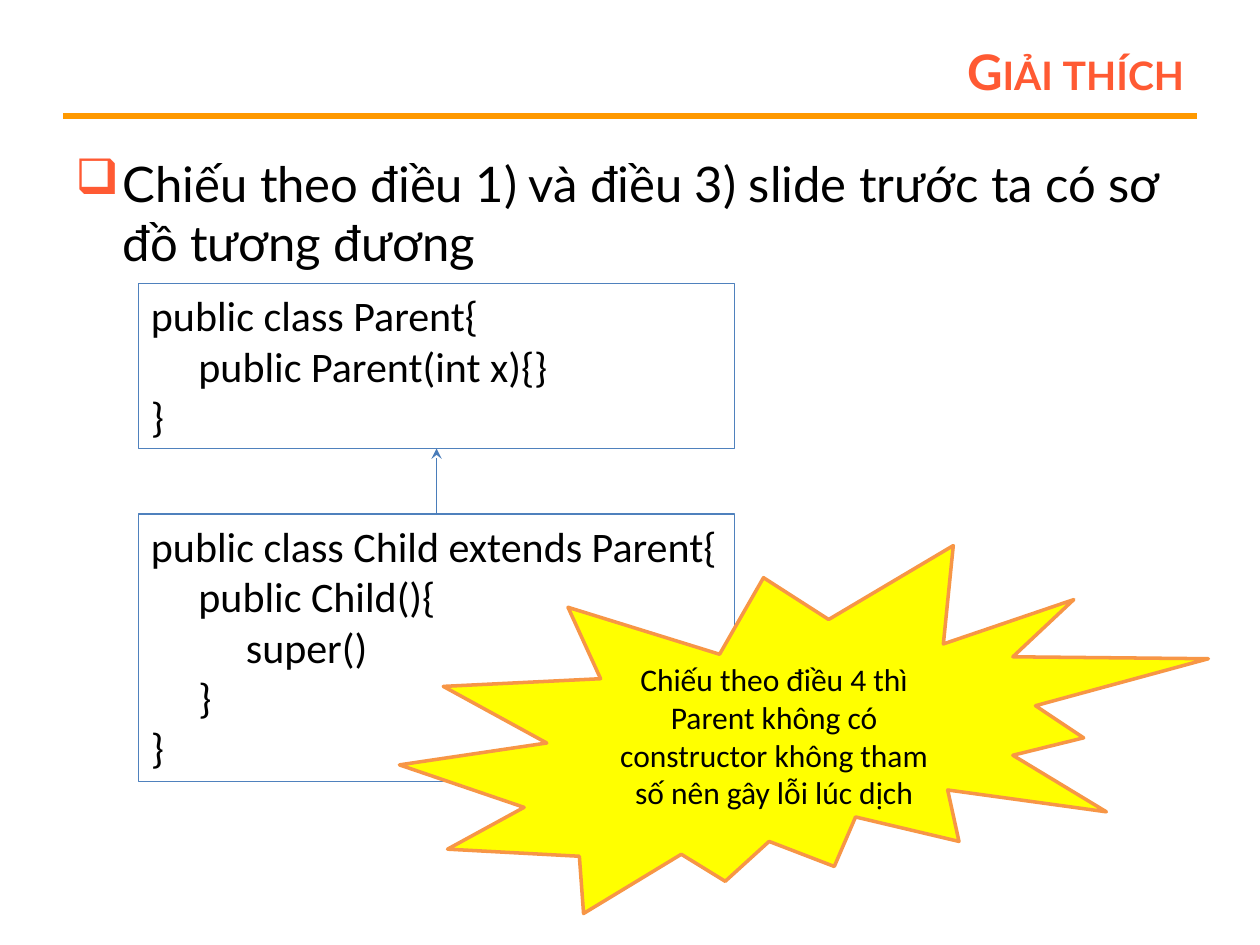
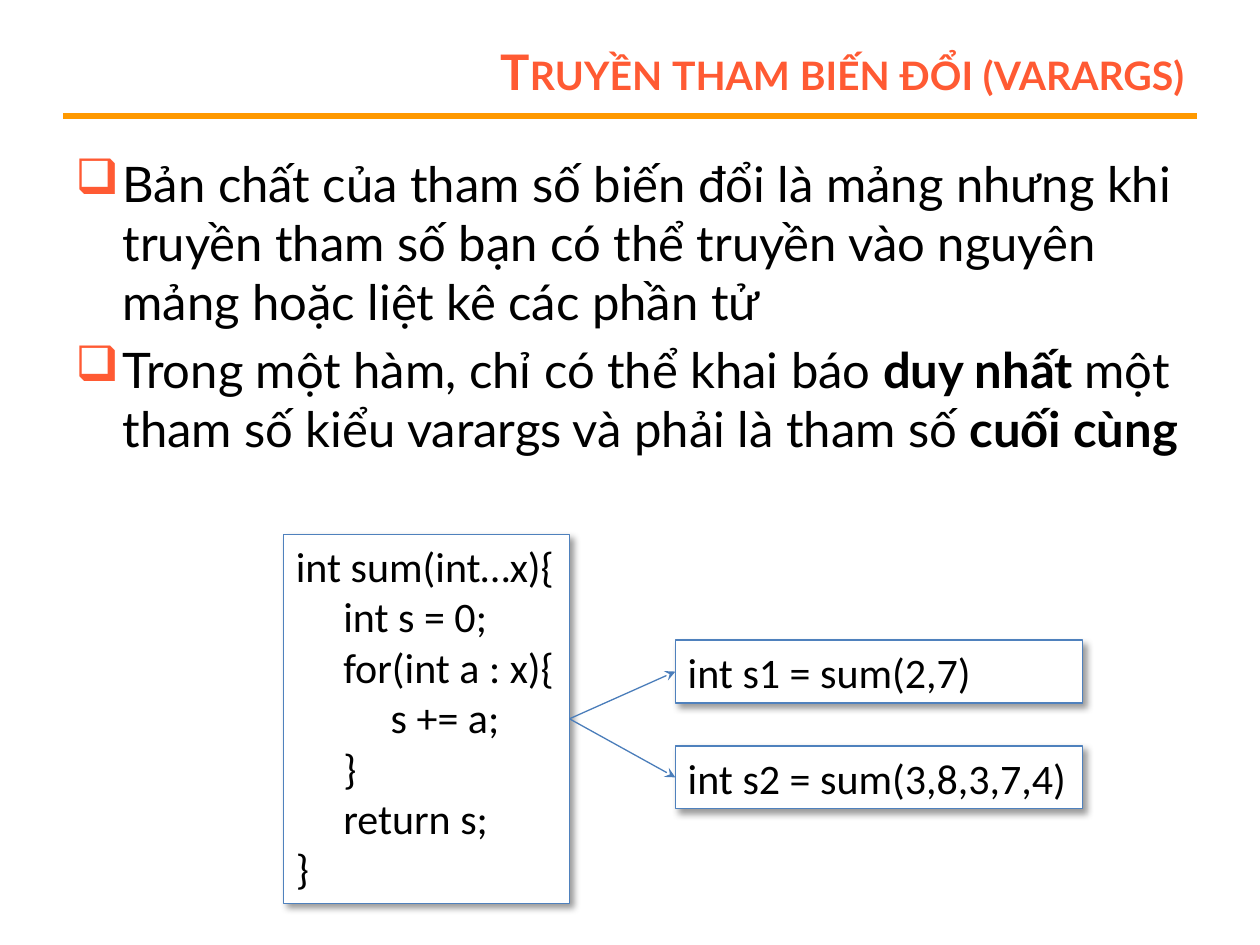
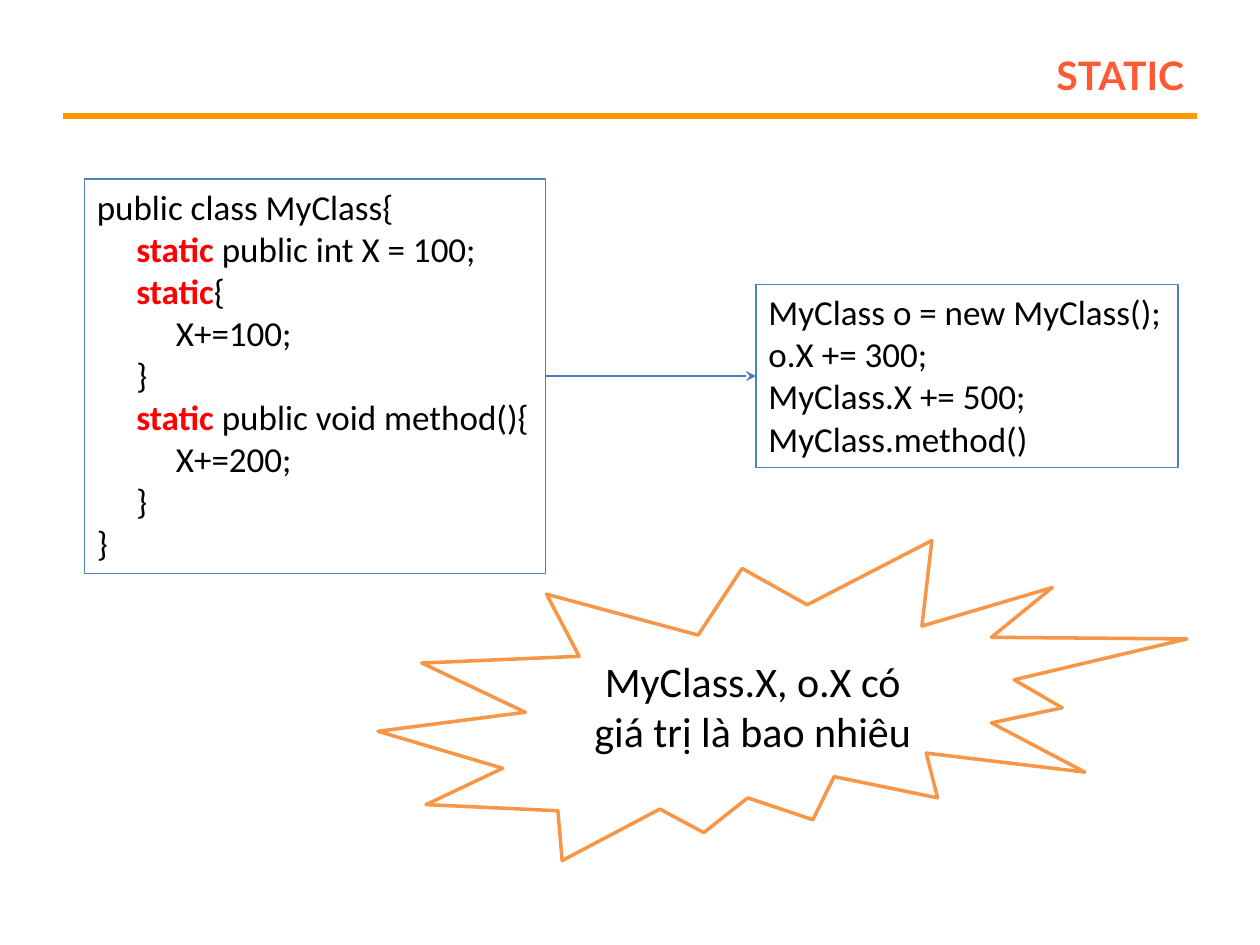
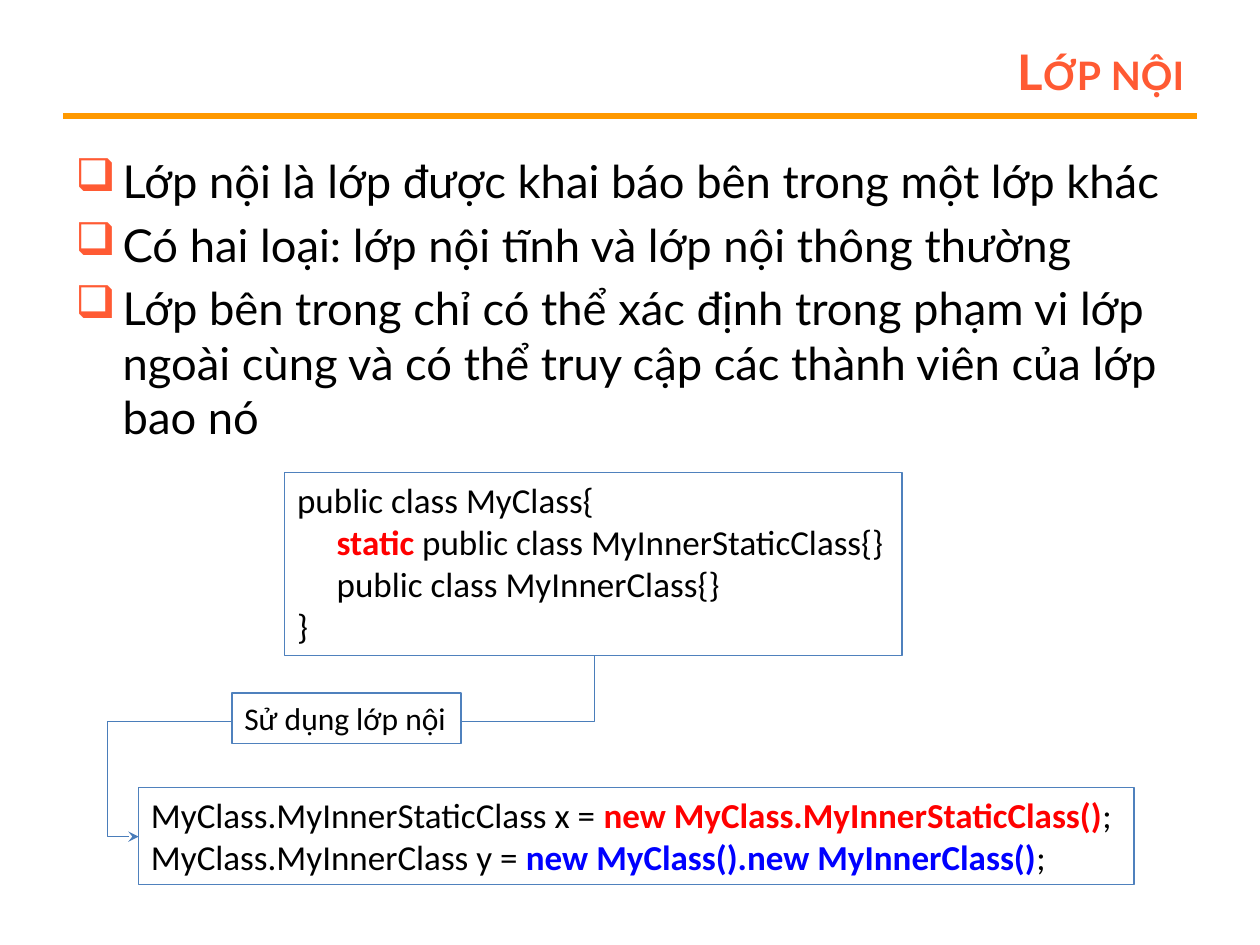
from lxml import etree
from pptx import Presentation
from pptx.dml.color import RGBColor
from pptx.enum import shapes, text
from pptx.oxml import ns
from pptx.util import Pt

ORANGE = RGBColor(0xFF, 0x99, 0x00)
CORAL = RGBColor(0xFF, 0x5A, 0x33)
BLACK = RGBColor(0, 0, 0)
WHITE = RGBColor(0xFF, 0xFF, 0xFF)
RED = RGBColor(0xFF, 0, 0)
BLUE = RGBColor(0, 0, 0xFF)
YELLOW = RGBColor(0xFF, 0xFF, 0)
BORDER = RGBColor(0x4F, 0x81, 0xBD)
ARROW = RGBColor(0x4A, 0x7D, 0xBA)
SEAL_EDGE = RGBColor(0xF7, 0x96, 0x46)
HEADING_FONT, CODE_FONT = "Lato", "Calibri"
TOP, LEFT, BOTTOM, RIGHT = range(4)
STATIC = ("static", RED)


def add_xml(parent, tag, **attributes):
    """Append a DrawingML element and return it."""
    return etree.SubElement(parent, ns.qn(tag), attributes)


class Lecture:
    """Holds the lecture style and the page being built."""

    def __init__(self):
        """Open a 4:3 deck."""
        self.deck = Presentation()
        self.deck.slide_width, self.deck.slide_height = Pt(720), Pt(540)
        self.page = None

    def add_page(self, title):
        """Start a page with its title and orange rule."""
        self.page = self.deck.slides.add_slide(self.deck.slide_layouts[5])
        self.line((36, 66.24), (684, 66.24), ORANGE, 3)
        box = self.page.shapes.title
        box.left, box.top, box.width, box.height = Pt(162), Pt(21.6), Pt(522), Pt(38.16)
        frame = self.frame(box, text.MSO_ANCHOR.MIDDLE)
        para = frame.paragraphs[0]
        para.alignment = text.PP_ALIGN.RIGHT
        span = self.span(para, title, 28, HEADING_FONT, CORAL, True)
        span.font._element.set("cap", "small")

    def frame(self, box, anchor=text.MSO_ANCHOR.TOP, fit=text.MSO_AUTO_SIZE.NONE):
        """Set wrapping, anchor and margins of a text frame."""
        frame = box.text_frame
        frame.word_wrap, frame.auto_size, frame.vertical_anchor = True, fit, anchor
        frame.margin_left = frame.margin_right = Pt(7.2)
        frame.margin_top = frame.margin_bottom = Pt(3.6)
        return frame

    def span(self, para, words, size, font, color=BLACK, bold=False):
        """Add one formatted run."""
        span = para.add_run()
        span.text = words
        span.font.name, span.font.size, span.font.bold = font, Pt(size), bold
        span.font.color.rgb = color
        return span

    def paragraphs(self, frame, items, size, font):
        """Yield a paragraph per item; a pair in an item is bold text and its colour."""
        for index, item in enumerate(items):
            para = frame.add_paragraph() if index else frame.paragraphs[0]
            for part in item:
                words, color = (part, BLACK) if isinstance(part, str) else part
                self.span(para, words, size, font, color, not isinstance(part, str))
            yield index, para

    def bullets(self, height, items, size=28):
        """Add the body text with square bullets."""
        box = self.page.shapes.add_textbox(Pt(36), Pt(84.24), Pt(648), Pt(height))
        for index, para in self.paragraphs(self.frame(box), items, size, HEADING_FONT):
            para.alignment = text.PP_ALIGN.LEFT
            para.space_before = Pt(size / 5 if index else 0)
            properties = para._p.get_or_add_pPr()
            properties.set("marL", str(Pt(27)))
            properties.set("indent", str(-Pt(27)))
            add_xml(add_xml(properties, "a:buClr"), "a:srgbClr", val=str(CORAL))
            add_xml(properties, "a:buChar", char="❑")

    def shape(self, kind, area, fill, edge, weight):
        """Add a preset shape without a shadow."""
        shape = self.page.shapes.add_shape(kind, *map(Pt, area))
        shape.shadow.inherit = False
        if fill is None:
            shape.fill.background()
        else:
            shape.fill.solid()
            shape.fill.fore_color.rgb = fill
        shape.line.color.rgb, shape.line.width = edge, Pt(weight)
        return shape

    def code(self, area, lines, size=24, fill=None, shadow=False):
        """Add a bordered code box; each line is its depth followed by its runs."""
        box = self.shape(shapes.MSO_SHAPE.RECTANGLE, area, fill, BORDER, 0.75)
        frame = self.frame(box, fit=text.MSO_AUTO_SIZE.SHAPE_TO_FIT_TEXT)
        items = [line[1:] for line in lines]
        for index, para in self.paragraphs(frame, items, size, CODE_FONT):
            para.alignment = text.PP_ALIGN.LEFT
            margin = Pt(lines[index][0] * size * 1.13)
            para._p.get_or_add_pPr().set("marL", str(margin))
        if shadow:
            effects = box._element.spPr.find(ns.qn("a:effectLst"))
            outer = add_xml(effects, "a:outerShdw", blurRad=str(Pt(4)), dist=str(Pt(3)),
                            dir="2700000", algn="tl", rotWithShape="0")
            color = add_xml(outer, "a:srgbClr", val=str(BLACK))
            add_xml(color, "a:alpha", val="40000")
        return box

    def seal(self, area, words, size, fill):
        """Add a starburst with centred text."""
        seal = self.shape(shapes.MSO_SHAPE.EXPLOSION2, area, fill, SEAL_EDGE, 2)
        frame = self.frame(seal, text.MSO_ANCHOR.MIDDLE)
        para = frame.paragraphs[0]
        para.alignment = text.PP_ALIGN.CENTER
        self.span(para, words, size, CODE_FONT)

    def line(self, start, end, color=ARROW, weight=0.75,
             kind=shapes.MSO_CONNECTOR.STRAIGHT):
        """Add a plain connector."""
        line = self.page.shapes.add_connector(kind, *map(Pt, start + end))
        line.line.color.rgb, line.line.width = color, Pt(weight)
        add_xml(line._element.spPr, "a:effectLst")
        return line

    def arrowhead(self, line):
        """Put a stealth head at the end of a connector."""
        add_xml(line.line._get_or_add_ln(), "a:tailEnd", type="stealth")

    def arrow(self, source, source_side, target, target_side):
        """Join two boxes with a straight arrow."""
        line = self.line((0, 0), (0, 0))
        line.begin_connect(source, source_side)
        line.end_connect(target, target_side)
        self.arrowhead(line)

    def elbow_arrow(self, start, end, bends):
        """Add a three-bend arrow turned by a quarter."""
        line = self.line(start, end, kind=shapes.MSO_CONNECTOR.ELBOW)
        properties = line._element.spPr
        properties.find(ns.qn("a:xfrm")).set("rot", "5400000")
        geometry = properties.find(ns.qn("a:prstGeom"))
        geometry.set("prst", "bentConnector4")
        guides = geometry.find(ns.qn("a:avLst"))
        for number, bend in enumerate(bends, 1):
            add_xml(guides, "a:gd", name=f"adj{number}", fmla=f"val {bend}")
        self.arrowhead(line)


def explanation(lecture):
    """Build the page on the implicit super call."""
    lecture.add_page("Giải thích")
    lecture.bullets(90, [
        ["Chiếu theo điều 1) và điều 3) slide trước ta có sơ đồ tương đương"]])
    parent = lecture.code((79.2, 162, 340.56, 94.32), [
        (0, "public class Parent{"),
        (1, "public Parent(int x){}"),
        (0, "}")])
    child = lecture.code((79.2, 293.76, 340.56, 152.64), [
        (0, "public class Child extends Parent{"),
        (1, "public Child(){"),
        (2, "super()"),
        (1, "}"),
        (0, "}")])
    lecture.arrow(child, TOP, parent, BOTTOM)
    lecture.seal((228.24, 311.76, 462.24, 210.24),
                 "Chiếu theo điều 4 thì Parent không có constructor "
                 "không tham số nên gây lỗi lúc dịch", 18, YELLOW)


def varargs(lecture):
    """Build the page on variable arguments."""
    lecture.add_page("Truyền tham biến đổi (varargs)")
    lecture.bullets(221.76, [
        ["Bản chất của tham số biến đổi là mảng nhưng khi truyền tham số bạn "
         "có thể truyền vào nguyên mảng hoặc liệt kê các phần tử"],
        ["Trong một hàm, chỉ có thể khai báo ", ("duy nhất ", BLACK),
         "một tham số kiểu varargs và phải là tham số ", ("cuối cùng", BLACK)]])
    method = lecture.code((162, 305.28, 163.44, 210.96), [
        (0, "int sum(int…x){"),
        (1, "int s = 0;"),
        (1, "for(int a : x){"),
        (2, "s += a;"),
        (1, "}"),
        (1, "return s;"),
        (0, "}")], fill=WHITE, shadow=True)
    calls = ["int s1 = sum(2,7)", "int s2 = sum(3,8,3,7,4)"]
    for row, words in enumerate(calls):
        call = lecture.code((385.92, 365.76 + 60.48 * row, 232.56, 36), [(0, words)],
                            fill=WHITE, shadow=True)
        lecture.arrow(method, RIGHT, call, LEFT)


def static_members(lecture):
    """Build the page on static members."""
    lecture.add_page("static")
    members = lecture.code((48.24, 102.24, 263.52, 225.36), [
        (0, "public class MyClass{"),
        (1, STATIC, " public int X = 100;"),
        (1, STATIC, "{"),
        (2, "X+=100;"),
        (1, "}"),
        (1, STATIC, " public void method(){"),
        (2, "X+=200;"),
        (1, "}"),
        (0, "}")], 20)
    lecture.seal((216, 308.88, 462.24, 182.88),
                 "MyClass.X, o.X có giá trị là bao nhiêu", 24, WHITE)
    usage = lecture.code((432, 162.72, 241.2, 104.4), [
        (0, "MyClass o = new MyClass();"),
        (0, "o.X += 300;"),
        (0, "MyClass.X += 500;"),
        (0, "MyClass.method()")], 20, WHITE)
    lecture.arrow(members, RIGHT, usage, LEFT)


def inner_classes(lecture):
    """Build the page on inner classes."""
    lecture.add_page("Lớp nội")
    lecture.bullets(192.24, [
        ["Lớp nội là lớp được khai báo bên trong một lớp khác"],
        ["Có hai loại: lớp nội tĩnh và lớp nội thông thường"],
        ["Lớp bên trong chỉ có thể xác định trong phạm vi lớp ngoài cùng "
         "và có thể truy cập các thành viên của lớp bao nó"]], 25.9)
    lecture.code((162.72, 270, 352.8, 104.4), [
        (0, "public class MyClass{"),
        (1, STATIC, " public class MyInnerStaticClass{}"),
        (1, "public class MyInnerClass{}"),
        (0, "}")], 20)
    lecture.code((79.2, 450, 568.8, 55.44), [
        (0, "MyClass.MyInnerStaticClass x = ",
         ("new MyClass.MyInnerStaticClass()", RED), ";"),
        (0, "MyClass.MyInnerClass y = ",
         ("new MyClass().new MyInnerClass()", BLUE), ";")], 20, WHITE)
    lecture.elbow_arrow((157.68, 295.92), (261.36, 556.56), (36600, 106900))
    lecture.code((132.48, 396, 131.04, 28.8), [(0, "Sử dụng lớp nội")], 18, WHITE)


def main():
    """Build and save the lecture."""
    lecture = Lecture()
    for build in (explanation, varargs, static_members, inner_classes):
        build(lecture)
    lecture.deck.save("out.pptx")


if __name__ == "__main__":
    main()
